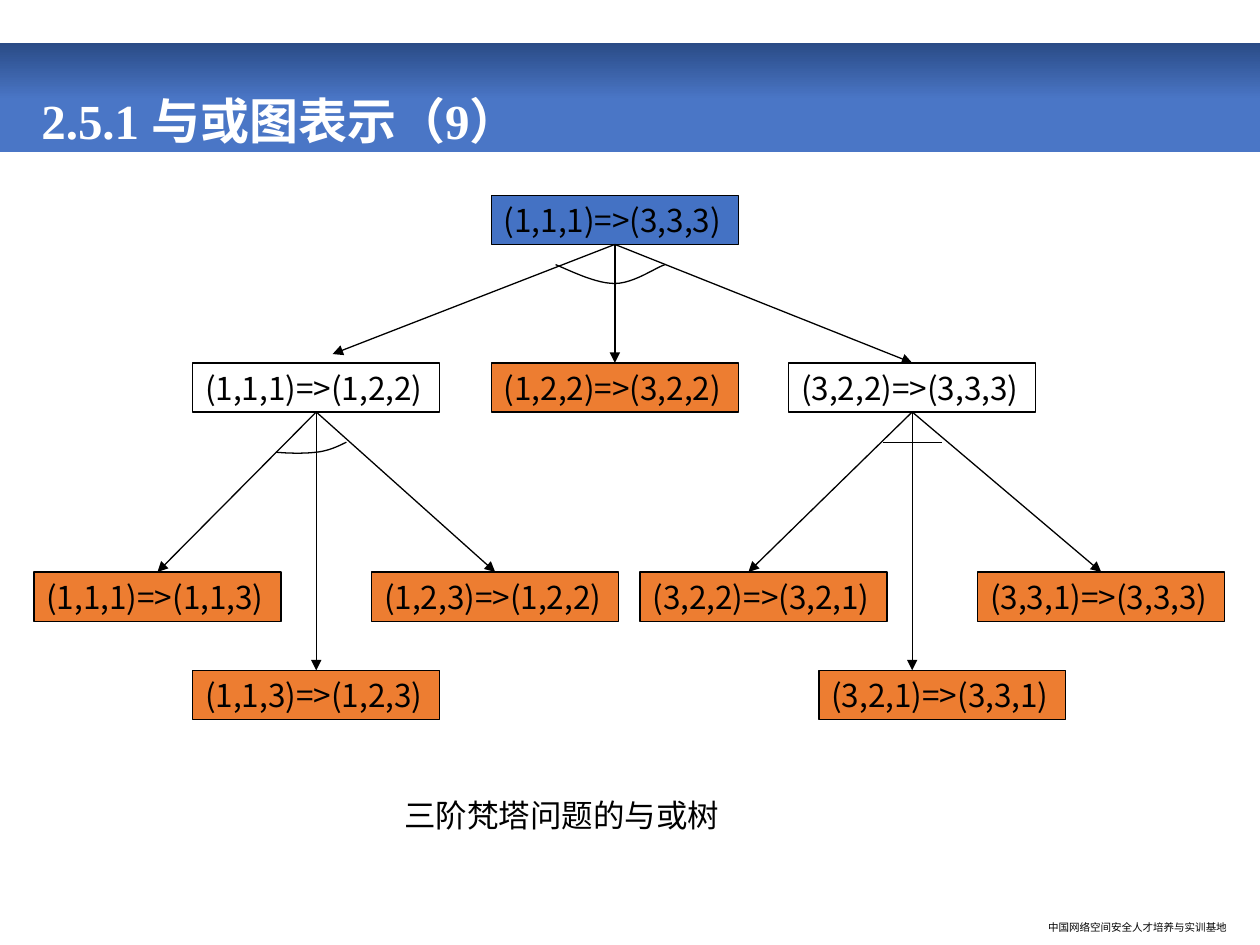
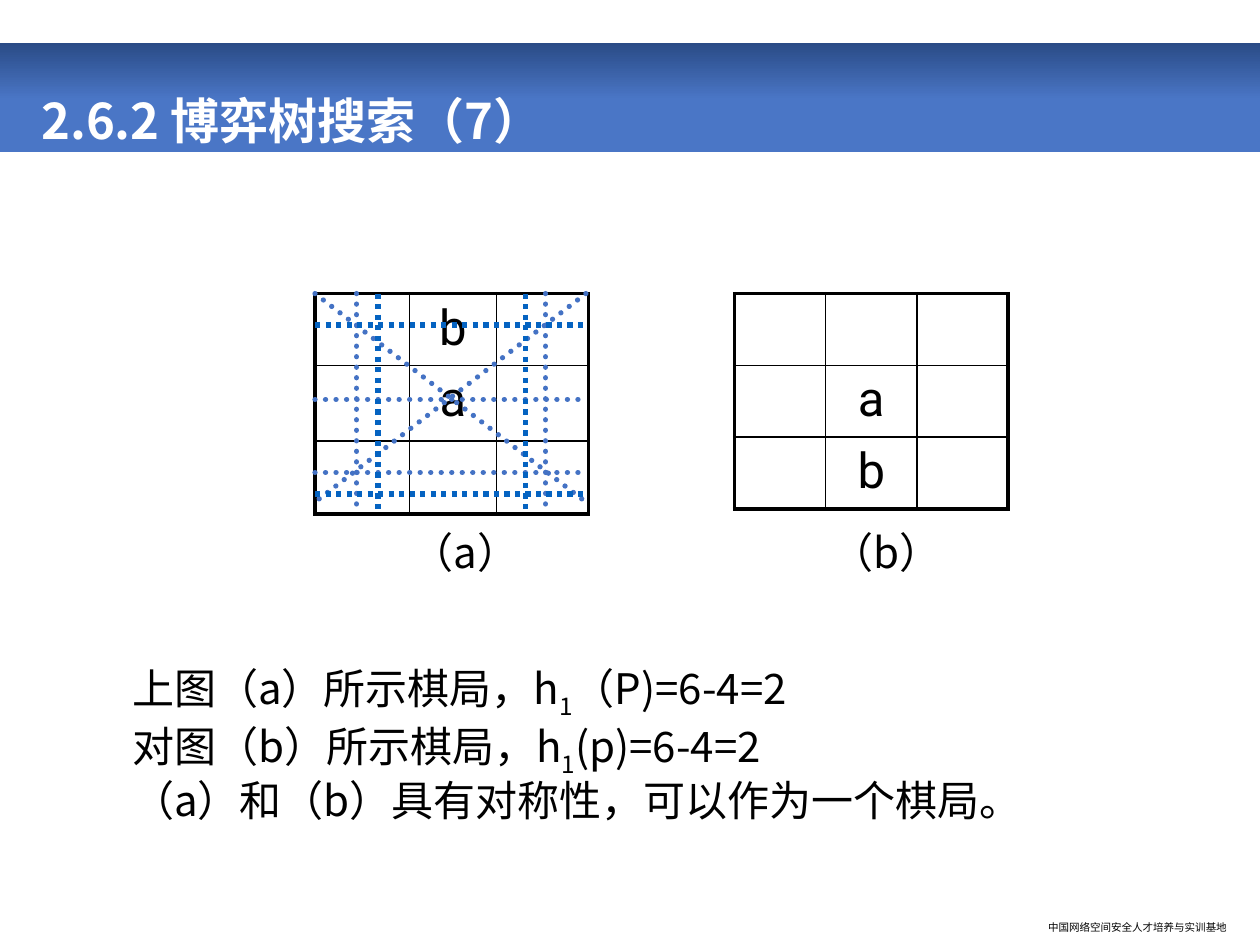
from lxml import etree
from pptx import Presentation
from pptx.dml.color import RGBColor
from pptx.enum.dml import MSO_LINE
from pptx.enum.shapes import MSO_CONNECTOR, MSO_SHAPE
from pptx.enum.text import MSO_ANCHOR, PP_ALIGN
from pptx.oxml.ns import qn
from pptx.util import Inches, Pt

RECTANGLE = MSO_SHAPE.RECTANGLE
STRAIGHT = MSO_CONNECTOR.STRAIGHT
DOTTED = MSO_LINE.ROUND_DOT
TOP, MIDDLE, BOTTOM = MSO_ANCHOR.TOP, MSO_ANCHOR.MIDDLE, MSO_ANCHOR.BOTTOM
LEFT, CENTER = PP_ALIGN.LEFT, PP_ALIGN.CENTER
TOP_SIDE, BOTTOM_SIDE = 0, 2

WIDTH, HEIGHT = 10, 7.5
COLORS = {
    "band": "4A76C6", "band_dark": "2A4B86", "white": "FFFFFF", "black": "000000",
    "root": "4472C4", "leaf": "ED7D31", "round_dots": "4472C4", "square_dots": "0563C1",
}
SANS, SERIF, LETTER = "Noto Sans CJK SC", "Times New Roman", "Roboto"
FOOTER = "中国网络空间安全人才培养与实训基地"

# Tree: box size, the tops of its levels, and (left, level, fill, text) of each node
NODE_SIZE = (1.96, 0.39)
LEVELS = (1.55, 2.88, 4.54, 5.32)
NODES = {
    "root": (3.9, 0, "root", "(1,1,1)=>(3,3,3)"),
    "left": (1.53, 1, None, "(1,1,1)=>(1,2,2)"),
    "middle": (3.9, 1, "leaf", "(1,2,2)=>(3,2,2)"),
    "right": (6.26, 1, None, "(3,2,2)=>(3,3,3)"),
    "left 1": (0.27, 2, "leaf", "(1,1,1)=>(1,1,3)"),
    "left 2": (1.53, 3, "leaf", "(1,1,3)=>(1,2,3)"),
    "left 3": (2.95, 2, "leaf", "(1,2,3)=>(1,2,2)"),
    "right 1": (5.08, 2, "leaf", "(3,2,2)=>(3,2,1)"),
    "right 2": (6.5, 3, "leaf", "(3,2,1)=>(3,3,1)"),
    "right 3": (7.76, 2, "leaf", "(3,3,1)=>(3,3,3)"),
}
CHILDREN = {
    "root": ("left", "middle", "right"),
    "left": ("left 1", "left 2", "left 3"),
    "right": ("right 1", "right 2", "right 3"),
}
# Arrows that stop beside the middle of their box
FREE_ENDS = {"left": (2.64, 2.81), "right 1": (5.94, 4.54), "right 2": (7.24, 5.32)}
# AND arcs: a start point, then cubic curves of two control points and an end
ARCS = (
    ((4.41, 2.1), ((4.57, 2.17), (4.74, 2.25), (4.88, 2.25)),
     ((5.03, 2.25), (5.21, 2.12), (5.28, 2.1))),
    ((2.19, 3.59), ((2.31, 3.6), (2.42, 3.6), (2.51, 3.59)),
     ((2.6, 3.58), (2.67, 3.55), (2.75, 3.51))),
)

# Boards: both start at the same height and are equally wide
BOARD_TOP, BOARD_WIDTH = 2.33, 2.17
BOARDS = (
    {"left": 2.5, "columns": (0.75, 0.69, 0.73), "rows": (0.57, 0.6, 0.58),
     "marks": {(0, 1): "b", (1, 1): "a"}, "label": "（a）", "label_left": 3.17},
    {"left": 5.83, "columns": (BOARD_WIDTH / 3,) * 3, "rows": (0.57,) * 3,
     "marks": {(1, 1): "a", (2, 1): "b"}, "label": "（b）", "label_left": 6.5},
)


def inches(*lengths):
    return [Inches(length) for length in lengths]


def rgb(name):
    return RGBColor.from_string(COLORS[name])


def write_runs(paragraph, runs, **font_values):
    """Add (text, typeface, baseline shift) runs that share their other font values."""
    color = font_values.pop("color", "black")
    for text, typeface, baseline in runs:
        run = paragraph.add_run()
        run.text = text
        run.font.name = typeface
        run.font.color.rgb = rgb(color)
        for name, value in font_values.items():
            setattr(run.font, name, value)
        properties = run.font._element
        if baseline:
            properties.set("baseline", str(baseline * 1000))
        east_asian = etree.SubElement(properties, qn("a:ea"))
        east_asian.set("typeface", SANS)


def add_text(slide, box, paragraphs, anchor=TOP, wrap=True, spacing=None, before=0, **font_values):
    text_frame = slide.shapes.add_textbox(*inches(*box)).text_frame
    text_frame.word_wrap = wrap
    text_frame.vertical_anchor = anchor
    for index, runs in enumerate(paragraphs):
        paragraph = text_frame.add_paragraph() if index else text_frame.paragraphs[0]
        if spacing:
            paragraph.line_spacing = spacing
        if index and before:
            paragraph.space_before = Pt(before)
        write_runs(paragraph, runs, **font_values)


def add_slide(presentation, title_runs):
    """Start a slide with the title band, the footer and its title."""
    slide = presentation.slides.add_slide(presentation.slide_layouts[6])
    band = slide.shapes.add_shape(RECTANGLE, *inches(0, 0.34, WIDTH, 0.87))
    band.shadow.inherit = False
    band.line.fill.background()
    band.fill.gradient()
    band.fill.gradient_angle = 90
    stops = ((0.48, "band"), (1, "band_dark"))
    for stop, (position, color) in zip(band.fill.gradient_stops, stops):
        stop.position = position
        stop.color.rgb = rgb(color)
    add_text(slide, (8.22, 7.26, 1.63, 0.2), [[(FOOTER, SERIF, 0)]], wrap=False, size=Pt(6))
    add_text(slide, (0.23, 0.47, 9.35, 0.77), [title_runs], anchor=BOTTOM, spacing=0.9,
             size=Pt(28), bold=True, color="white")
    return slide


def add_line(slide, start, end, color="black", width=0.75):
    connector = slide.shapes.add_connector(STRAIGHT, *inches(*start, *end))
    connector.line.color.rgb = rgb(color)
    connector.line.width = Pt(width)
    etree.SubElement(connector.element.spPr, qn("a:effectLst"))
    return connector


def line_element(connector):
    return connector.element.spPr.find(qn("a:ln"))


def add_node(slide, left, level, fill, text):
    node = slide.shapes.add_shape(RECTANGLE, *inches(left, LEVELS[level], *NODE_SIZE))
    node.shadow.inherit = False
    if fill:
        node.fill.solid()
        node.fill.fore_color.rgb = rgb(fill)
    else:
        node.fill.background()
    node.line.color.rgb = rgb("black")
    node.line.width = Pt(0.75)
    text_frame = node.text_frame
    text_frame.word_wrap = False
    text_frame.vertical_anchor = MIDDLE
    paragraph = text_frame.paragraphs[0]
    paragraph.alignment = LEFT
    write_runs(paragraph, [(text, SANS, 0)], size=Pt(18))
    return node


def add_arrow(slide, parent, child, free_end):
    arrow = add_line(slide, (0, 0), free_end or (0, 0))
    arrow.begin_connect(parent, BOTTOM_SIDE)
    if not free_end:
        arrow.end_connect(child, TOP_SIDE)
    etree.SubElement(line_element(arrow), qn("a:tailEnd")).set("type", "triangle")


def curve_points(start, curves, steps=12):
    for first, second, end in curves:
        for step in range(1, steps + 1):
            t = step / steps
            weights = ((1 - t) ** 3, 3 * t * (1 - t) ** 2, 3 * t ** 2 * (1 - t), t ** 3)
            corners = (start, first, second, end)
            yield inches(*(sum(weight * corner[axis] for weight, corner in zip(weights, corners))
                           for axis in (0, 1)))
        start = end


def add_arc(slide, start, *curves):
    builder = slide.shapes.build_freeform(*inches(*start))
    builder.add_line_segments(list(curve_points(start, curves)), close=False)
    arc = builder.convert_to_shape()
    arc.shadow.inherit = False
    arc.fill.background()
    arc.line.color.rgb = rgb("black")
    arc.line.width = Pt(0.75)


def set_borders(cell, widths):
    """Draw the cell's sides; widths holds left, right, top and bottom in points."""
    properties = cell._tc.get_or_add_tcPr()
    for index, (side, width) in enumerate(zip("LRTB", widths)):
        border = etree.Element(qn(f"a:ln{side}"), w=str(Pt(width)))
        fill = etree.SubElement(border, qn("a:solidFill"))
        etree.SubElement(fill, qn("a:srgbClr")).set("val", COLORS["black"])
        properties.insert(index, border)


def add_board(slide, left, columns, rows, marks, label, label_left):
    frame = slide.shapes.add_table(3, 3, *inches(left, BOARD_TOP, BOARD_WIDTH, sum(rows)))
    table = frame.table
    table.first_row = table.horz_banding = False
    for index in range(3):
        table.columns[index].width = Inches(columns[index])
        table.rows[index].height = Inches(rows[index])
    for row in range(3):
        for column in range(3):
            cell = table.cell(row, column)
            cell.fill.background()
            outer = (column == 0, column == 2, row == 0, row == 2)
            set_borders(cell, [2.25 if is_outer else 1 for is_outer in outer])
            if (row, column) in marks:
                paragraph = cell.text_frame.paragraphs[0]
                paragraph.alignment = CENTER
                write_runs(paragraph, [(marks[row, column], LETTER, 0)], size=Pt(28))
    add_text(slide, (label_left, 4.17, 1.4, 0.42), [[(label, SANS, 0)]], anchor=MIDDLE,
             size=Pt(24))


def add_winning_lines(slide):
    """Strike the open lines of board (a): round dots for one side, square for the other."""
    left, right, top, bottom = 2.5, 4.67, BOARD_TOP, 4
    diagonals = [((left, top), (right, bottom)), ((4.65, top), (2.48, bottom))]
    for color, rows, columns, end, others in (
        ("round_dots", (3.17, 3.75), (2.83, 4.33), bottom, diagonals),
        ("square_dots", (2.58, 3.92), (3, 4.17), 4.08, []),
    ):
        strikes = [((left, y), (right, y)) for y in rows]
        strikes += [((x, top), (x, end)) for x in columns]
        for start, finish in strikes + others:
            strike = add_line(slide, start, finish, color, 3)
            strike.line.dash_style = DOTTED
            if color == "round_dots":
                line_element(strike).set("cap", "rnd")


def build_tree_slide(presentation):
    slide = add_slide(presentation, [("2.5.1 ", SERIF, 0), ("与或图表示（", SANS, 0),
                                     ("9", SERIF, 0), ("）", SANS, 0)])
    nodes = {name: add_node(slide, *values) for name, values in NODES.items()}
    for parent, children in CHILDREN.items():
        for child in children:
            add_arrow(slide, nodes[parent], nodes[child], FREE_ENDS.get(child))
    for arc in ARCS:
        add_arc(slide, *arc)
    add_line(slide, (7.01, 3.51), (7.48, 3.51))
    add_text(slide, (3.11, 6.27, 4.65, 0.4), [[("三阶梵塔问题的与或树", SANS, 0)]], size=Pt(18))


def build_board_slide(presentation):
    slide = add_slide(presentation, [("2.6.2 博弈树搜索（7）", SANS, 0)])
    add_text(slide, (0.95, 5.29, 8.62, 1.29), [
        [("上图（a）所示棋局，h", SANS, 0), ("1", SANS, -25), ("（P)=6-4=2", SANS, 0)],
        [("对图（b）所示棋局，h", SANS, 0), ("1", SANS, -25), ("(p)=6-4=2", SANS, 0)],
        [("（a）和（b）具有对称性，可以作为一个棋局。", SANS, 0)],
    ], spacing=0.7, before=10, size=Pt(24))
    for board in BOARDS:
        add_board(slide, **board)
    add_winning_lines(slide)


def main():
    presentation = Presentation()
    presentation.slide_width, presentation.slide_height = inches(WIDTH, HEIGHT)
    build_tree_slide(presentation)
    build_board_slide(presentation)
    presentation.save("out.pptx")


if __name__ == "__main__":
    main()
